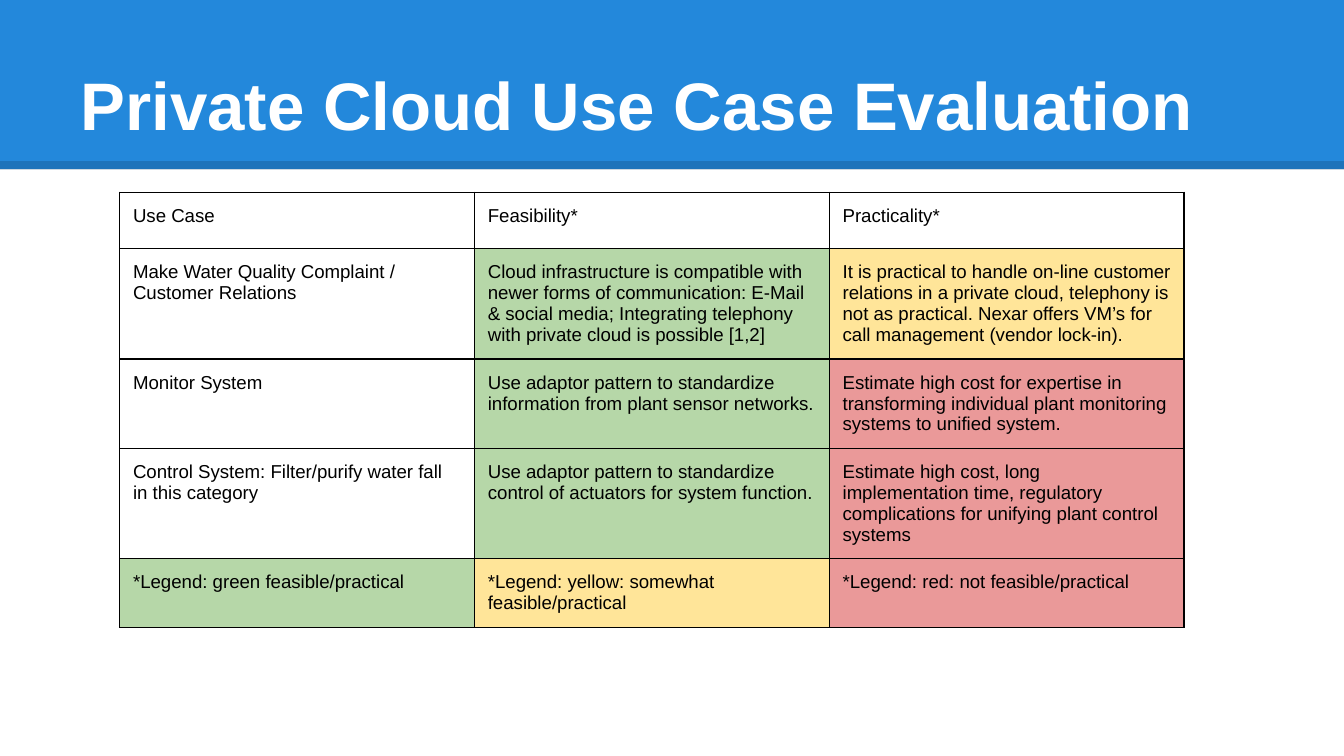
from dataclasses import dataclass
from typing import NamedTuple, Optional

from lxml.etree import SubElement
from pptx import Presentation
from pptx.dml.color import RGBColor
from pptx.enum.shapes import MSO_CONNECTOR, MSO_SHAPE
from pptx.enum.text import MSO_ANCHOR, MSO_AUTO_SIZE, PP_ALIGN
from pptx.oxml.ns import qn
from pptx.slide import Slide
from pptx.table import _Cell
from pptx.text.text import TextFrame
from pptx.util import Inches, Pt

SLIDE_WIDTH = Inches(10)
SLIDE_HEIGHT = SLIDE_WIDTH * 9 // 16


@dataclass(frozen=True)
class Theme:
    font: str = "Arial"
    title_size: float = 36
    cell_size: float = 10
    border_width: float = 0.75
    rule_width: float = 4.5
    rule_opacity: int = 15
    inset: float = 0.1
    banner: str = "2388DB"
    light: str = "FFFFFF"
    dark: str = "000000"
    green: str = "B6D7A8"
    yellow: str = "FFE599"
    red: str = "EA9999"


class Rating(NamedTuple):
    text: str
    fill: Optional[str] = None


THEME = Theme()
COLUMN_WIDTH = Inches(2.64)
ROW_HEIGHT = Inches(0.42)

EVALUATION = [
    [Rating("Use Case"), Rating("Feasibility*"), Rating("Practicality*")],
    [
        Rating("Make Water Quality Complaint / Customer Relations"),
        Rating("Cloud infrastructure is compatible with newer forms of communication: E-Mail "
               "& social media; Integrating telephony with private cloud is possible [1,2]",
               THEME.green),
        Rating("It is practical to handle on-line customer relations in a private cloud, "
               "telephony is not as practical. Nexar offers VM’s for call management "
               "(vendor lock-in).", THEME.yellow),
    ],
    [
        Rating("Monitor System"),
        Rating("Use adaptor pattern to standardize information from plant sensor networks.",
               THEME.green),
        Rating("Estimate high cost for expertise in transforming individual plant monitoring "
               "systems to unified system.", THEME.red),
    ],
    [
        Rating("Control System: Filter/purify water fall in this category"),
        Rating("Use adaptor pattern to standardize control of actuators for system function.",
               THEME.green),
        Rating("Estimate high cost, long implementation time, regulatory complications for "
               "unifying plant control systems", THEME.red),
    ],
    [
        Rating("*Legend: green feasible/practical", THEME.green),
        Rating("*Legend: yellow: somewhat feasible/practical", THEME.yellow),
        Rating("*Legend: red: not feasible/practical", THEME.red),
    ],
]


def write(frame: TextFrame, text: str, size: float, color: str, bold: bool = False) -> None:
    paragraph = frame.paragraphs[0]
    paragraph.alignment = PP_ALIGN.LEFT
    run = paragraph.add_run()
    run.text = text
    run.font.name = THEME.font
    run.font.size = Pt(size)
    run.font.bold = bold
    run.font.color.rgb = RGBColor.from_string(color)


def set_insets(holder: TextFrame | _Cell) -> None:
    holder.margin_left = holder.margin_right = Inches(THEME.inset)
    holder.margin_top = holder.margin_bottom = Inches(THEME.inset)


def draw_banner(slide: Slide) -> None:
    banner = slide.shapes.add_shape(MSO_SHAPE.RECTANGLE, 0, 0, SLIDE_WIDTH, Inches(1.26))
    banner.shadow.inherit = False
    banner.fill.solid()
    banner.fill.fore_color.rgb = RGBColor.from_string(THEME.banner)
    banner.line.fill.background()

    rule_y = Inches(1.23)
    rule = slide.shapes.add_connector(MSO_CONNECTOR.STRAIGHT, 0, rule_y, SLIDE_WIDTH, rule_y)
    rule.line.width = Pt(THEME.rule_width)
    rule.line.color.rgb = RGBColor.from_string(THEME.dark)
    properties = rule._element.spPr
    tint = next(properties.iter(qn("a:srgbClr")))
    SubElement(tint, qn("a:alpha"), val=str(THEME.rule_opacity * 1000))
    SubElement(properties, qn("a:effectLst"))


def draw_title(slide: Slide, text: str) -> None:
    title = slide.shapes.title
    title.left, title.top = Inches(0.5), Inches(0.23)
    title.width, title.height = Inches(9), Inches(0.94)
    frame = title.text_frame
    frame.word_wrap = True
    frame.auto_size = MSO_AUTO_SIZE.NONE
    frame.vertical_anchor = MSO_ANCHOR.BOTTOM
    set_insets(frame)
    write(frame, text, THEME.title_size, THEME.light, bold=True)
    slide.shapes._spTree.append(title._element)


def draw_borders(cell: _Cell) -> None:
    properties = cell._tc.get_or_add_tcPr()
    for side in ("a:lnL", "a:lnR", "a:lnT", "a:lnB"):
        border = SubElement(properties, qn(side), w=str(Pt(THEME.border_width)))
        fill = SubElement(border, qn("a:solidFill"))
        SubElement(fill, qn("a:srgbClr"), val=THEME.dark)
        SubElement(border, qn("a:prstDash"), val="solid")


def draw_cell(cell: _Cell, rating: Rating) -> None:
    set_insets(cell)
    cell.vertical_anchor = MSO_ANCHOR.TOP
    draw_borders(cell)
    if rating.fill:
        cell.fill.solid()
        cell.fill.fore_color.rgb = RGBColor.from_string(rating.fill)
    else:
        cell.fill.background()
    write(cell.text_frame, rating.text, THEME.cell_size, THEME.dark)


def draw_evaluation(slide: Slide, ratings: list[list[Rating]]) -> None:
    row_count, column_count = len(ratings), len(ratings[0])
    evaluation = slide.shapes.add_table(
        row_count, column_count, Inches(0.89), Inches(1.43),
        COLUMN_WIDTH * column_count, ROW_HEIGHT * row_count).table
    evaluation.first_row = False
    evaluation.horz_banding = False
    for column in evaluation.columns:
        column.width = COLUMN_WIDTH
    for row, row_ratings in zip(evaluation.rows, ratings):
        row.height = ROW_HEIGHT
        for cell, rating in zip(row.cells, row_ratings):
            draw_cell(cell, rating)


def main() -> None:
    deck = Presentation()
    deck.slide_width, deck.slide_height = SLIDE_WIDTH, SLIDE_HEIGHT
    slide = deck.slides.add_slide(deck.slide_layouts[5])
    draw_banner(slide)
    draw_title(slide, "Private Cloud Use Case Evaluation")
    draw_evaluation(slide, EVALUATION)
    deck.save("out.pptx")


main()
